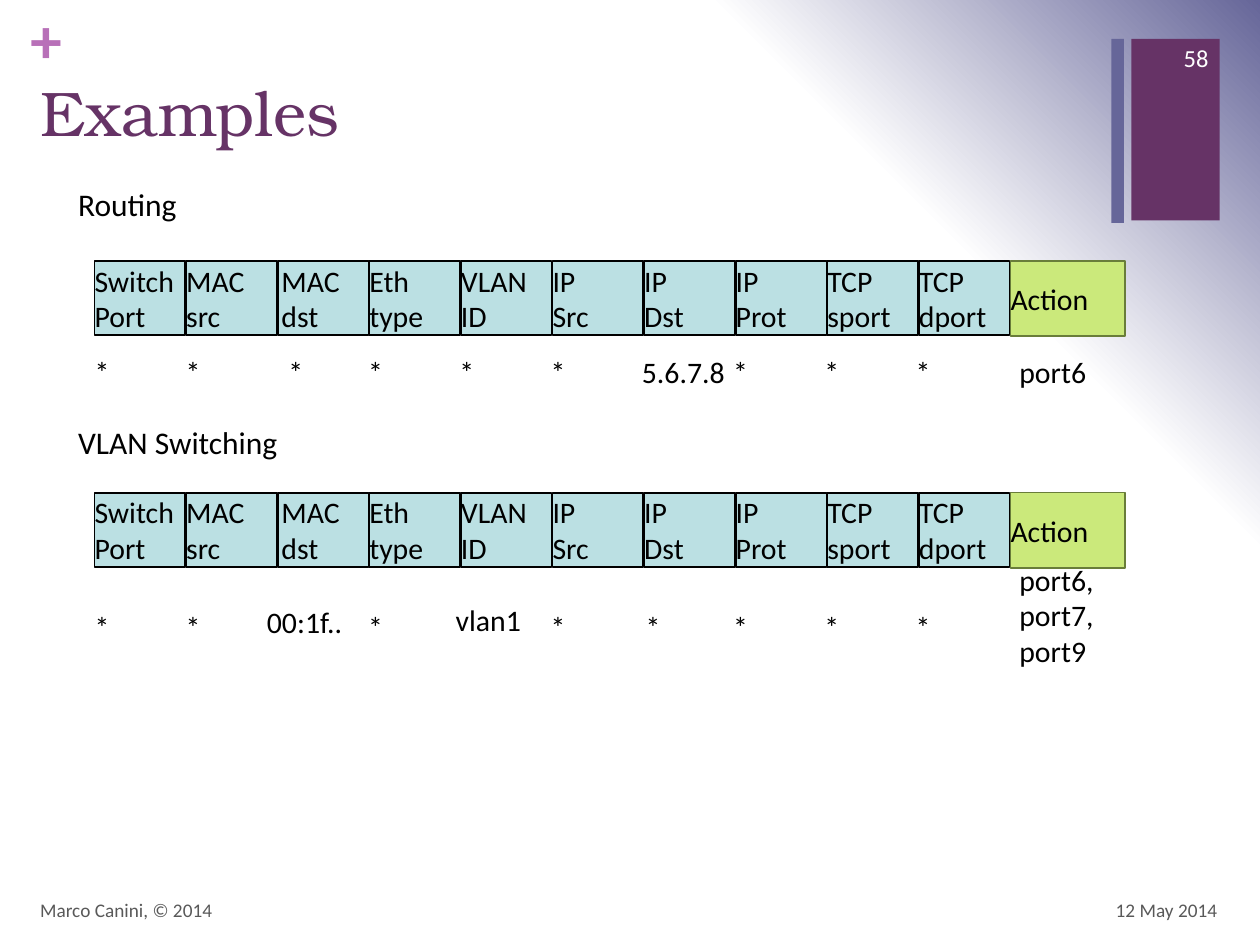
from dataclasses import dataclass

from pptx import Presentation
from pptx.dml.color import RGBColor
from pptx.enum.shapes import MSO_SHAPE
from pptx.enum.text import MSO_ANCHOR, MSO_AUTO_SIZE, PP_ALIGN
from pptx.oxml import parse_xml
from pptx.oxml.ns import nsdecls
from pptx.util import Inches, Pt

RECT = MSO_SHAPE.RECTANGLE
TOP, MIDDLE = MSO_ANCHOR.TOP, MSO_ANCHOR.MIDDLE
LEFT, RIGHT = PP_ALIGN.LEFT, PP_ALIGN.RIGHT
NO_FIT = MSO_AUTO_SIZE.NONE
TITLE_ONLY = 5


@dataclass(frozen=True)
class Theme:
    body_font: str = "Calibri"
    title_font: str = "TeX Gyre Bonum"
    plum: str = "663366"
    slate: str = "666699"
    orchid: str = "B870B8"
    field: str = "BBE0E3"
    action: str = "CBE97B"
    action_line: str = "697D3A"
    footer: str = "595959"
    black: str = "000000"
    white: str = "FFFFFF"
    title_size: int = 36
    caption_size: int = 18
    cell_size: int = 17
    number_size: int = 14
    footer_size: int = 11


@dataclass(frozen=True)
class Box:
    left: float
    top: float
    width: float
    height: float

    def emu(self) -> tuple:
        return tuple(Inches(v) for v in (self.left, self.top, self.width, self.height))


@dataclass(frozen=True)
class Value:
    """One entry of a rule, with its offset from the regular grid."""
    text: str = "*"
    dx: float = 0
    dy: float = 0


@dataclass(frozen=True)
class FlowRule:
    caption: str
    caption_top: float
    header_top: float
    value_middle: float
    values: tuple


THEME = Theme()
FIELDS = ("Switch\nPort", "MAC\nsrc", "MAC\ndst", "Eth\ntype", "VLAN\nID",
          "IP\nSrc", "IP\nDst", "IP\nProt", "TCP\nsport", "TCP\ndport")
FIELD_INSETS = {"MAC\ndst": 0.03}
GRID_LEFT, ACTION_LEFT, CELL_WIDTH = 0.75, 8.02, 0.72
FIELD_STEP = (ACTION_LEFT - GRID_LEFT) / len(FIELDS)
VALUE_STEP = (7.99 - GRID_LEFT) / len(FIELDS)
VALUE_ACTION_LEFT = 8.09
LINE_HEIGHT = 0.3
ANY = Value()

RULES = (
    FlowRule("Routing", 1.47, 2.07, 2.95,
             (ANY, ANY, Value(dx=0.09), ANY, ANY, ANY, Value("5.6.7.8"),
              ANY, ANY, ANY, Value("port6"))),
    FlowRule("VLAN Switching", 3.36, 3.91, 4.97,
             (ANY, ANY, Value("00:1f..", -0.08, -0.04), ANY,
              Value("vlan1", -0.03, -0.05), ANY, Value(dx=0.03),
              ANY, ANY, ANY, Value("port6,\nport7,\nport9", dy=-0.09))),
)


def write(shape, text: str, size: int, color: str, font: str = THEME.body_font,
          bold: bool = False, align=LEFT, anchor=MIDDLE, wrap: bool = True,
          inset: float = 0, inset_y: float = 0) -> None:
    tf = shape.text_frame
    tf.text = text
    frame = {"word_wrap": wrap, "auto_size": NO_FIT, "vertical_anchor": anchor,
             "margin_left": Inches(inset), "margin_right": Inches(inset),
             "margin_top": Inches(inset_y), "margin_bottom": Inches(inset_y)}
    for name, value in frame.items():
        setattr(tf, name, value)
    for p in tf.paragraphs:
        p.alignment = align
        for r in p.runs:
            for name, value in {"name": font, "size": Pt(size), "bold": bold}.items():
                setattr(r.font, name, value)
            r.font.color.rgb = RGBColor.from_string(color)


def add_text(s, box: Box, text: str, size: int, color: str = THEME.black, **formats) -> None:
    write(s.shapes.add_textbox(*box.emu()), text, size, color, **formats)


def add_rect(shapes, box: Box, fill: str, line: str | None = None):
    sp = shapes.add_shape(RECT, *box.emu())
    sp.shadow.inherit = False
    sp.fill.solid()
    sp.fill.fore_color.rgb = RGBColor.from_string(fill)
    if line is None:
        sp.line.fill.background()
    else:
        sp.line.color.rgb = RGBColor.from_string(line)
        sp.line.width = Pt(1)
    return sp


def set_background(s) -> None:
    """Fade radially from the white lower-left corner to the slate upper-right one."""
    stops = ((0, THEME.white), (75, THEME.white), (100, THEME.slate))
    gs = "".join(f'<a:gs pos="{pos * 1000}"><a:srgbClr val="{color}"/></a:gs>'
                 for pos, color in stops)
    s.element.cSld.insert(0, parse_xml(
        f'<p:bg {nsdecls("p", "a")}><p:bgPr><a:gradFill rotWithShape="1">'
        f'<a:gsLst>{gs}</a:gsLst><a:path path="circle">'
        '<a:fillToRect l="0" t="100000" r="100000" b="0"/></a:path></a:gradFill>'
        '<a:effectLst/></p:bgPr></p:bg>'))


def add_header(s, top: float) -> None:
    group = s.shapes.add_group_shape()
    for i, field in enumerate(FIELDS):
        box = Box(GRID_LEFT + i * FIELD_STEP, top, CELL_WIDTH, 0.59)
        sp = add_rect(group.shapes, box, THEME.field, THEME.black)
        write(sp, field, THEME.cell_size, THEME.black, inset=FIELD_INSETS.get(field, 0))
    sp = add_rect(group.shapes, Box(ACTION_LEFT, top, 0.91, 0.6),
                  THEME.action, THEME.action_line)
    write(sp, "Action", THEME.cell_size, THEME.black)


def add_rule(s, rule: FlowRule) -> None:
    add_text(s, Box(0.62, rule.caption_top, 1.59, LINE_HEIGHT), rule.caption,
             THEME.caption_size, wrap=False)
    add_header(s, rule.header_top)
    lefts = [GRID_LEFT + i * VALUE_STEP for i in range(len(FIELDS))] + [VALUE_ACTION_LEFT]
    for left, value in zip(lefts, rule.values):
        height = LINE_HEIGHT * len(value.text.split("\n"))
        top = rule.value_middle + value.dy - height / 2
        add_text(s, Box(left + value.dx, top, CELL_WIDTH, height),
                 value.text, THEME.cell_size)


def add_frame(s) -> None:
    """Add the title, corner decoration, slide number and footer."""
    add_rect(s.shapes, Box(8.98, 0.31, 0.7, 1.44), THEME.plum)
    add_rect(s.shapes, Box(8.82, 0.31, 0.1, 1.46), THEME.slate)
    add_text(s, Box(0.24, 0, 0.29, 0.61), "+", THEME.title_size, THEME.orchid,
             bold=True, anchor=TOP)
    title = s.shapes.title
    title.left, title.top, title.width, title.height = Box(0.22, 0.53, 8.59, 1.22).emu()
    write(title, "Examples", THEME.title_size, THEME.plum, font=THEME.title_font,
          anchor=TOP, inset=0.1, inset_y=0.05)
    add_text(s, Box(9.08, 0.26, 0.61, 0.4), "58", THEME.number_size, THEME.white,
             align=RIGHT, inset=0.1)
    add_text(s, Box(0.22, 7.02, 6.7, 0.4), "Marco Canini, © 2014",
             THEME.footer_size, THEME.footer, inset=0.1)
    add_text(s, Box(7.43, 7.02, 2.33, 0.4), "12 May 2014",
             THEME.footer_size, THEME.footer, align=RIGHT, inset=0.1)


def main() -> None:
    prs = Presentation()
    prs.slide_width, prs.slide_height = Inches(10), Inches(7.5)
    s = prs.slides.add_slide(prs.slide_layouts[TITLE_ONLY])
    set_background(s)
    add_frame(s)
    for rule in RULES:
        add_rule(s, rule)
    prs.save("out.pptx")


if __name__ == "__main__":
    main()
